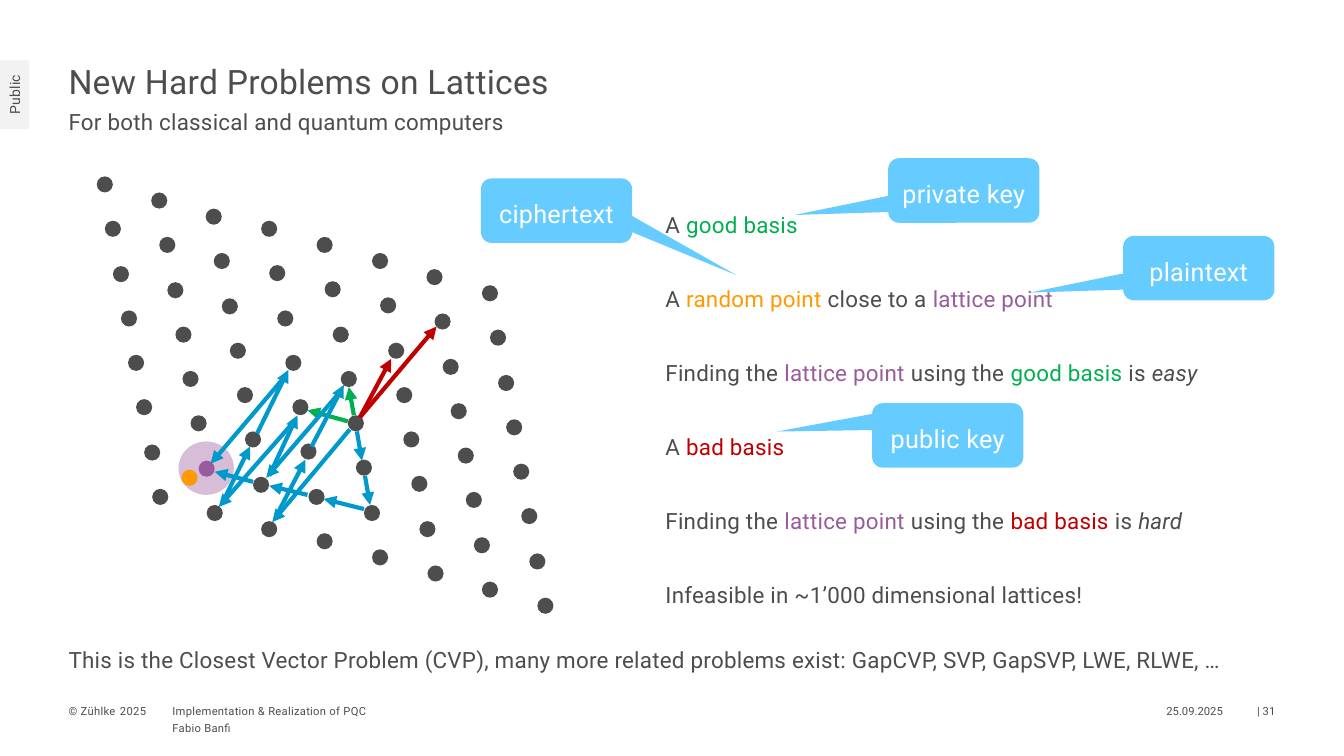
from dataclasses import dataclass

from lxml import etree
from pptx import Presentation
from pptx.dml.color import RGBColor
from pptx.enum.shapes import MSO_CONNECTOR, MSO_SHAPE
from pptx.enum.text import MSO_ANCHOR, MSO_AUTO_SIZE, PP_ALIGN
from pptx.oxml.ns import qn
from pptx.util import Emu, Pt

PX = 9144
OVAL, RECT = MSO_SHAPE.OVAL, MSO_SHAPE.RECTANGLE
CALLOUT = MSO_SHAPE.ROUNDED_RECTANGULAR_CALLOUT
STRAIGHT = MSO_CONNECTOR.STRAIGHT
LEFT, CENTER, RIGHT = PP_ALIGN.LEFT, PP_ALIGN.CENTER, PP_ALIGN.RIGHT
TOP, MIDDLE = MSO_ANCHOR.TOP, MSO_ANCHOR.MIDDLE
NO_AUTOFIT = MSO_AUTO_SIZE.NONE


@dataclass(frozen=True)
class Theme:
    font: str = "Roboto"
    text: str = "4D4D4D"
    white: str = "FFFFFF"
    tag: str = "F2F2F2"
    green: str = "00B050"
    orange: str = "FF9900"
    purple: str = "985B9C"
    halo: str = "D7BDD8"
    red: str = "C00000"
    blue: str = "0099CC"
    callout: str = "66CCFF"
    title_pt: int = 24
    callout_pt: int = 18
    body_pt: int = 16
    tag_pt: int = 10
    footer_pt: int = 8
    arrow_pt: int = 3


T = Theme()


@dataclass(frozen=True)
class Box:
    x: int
    y: int
    w: int
    h: int


@dataclass(frozen=True)
class Run:
    text: str
    color: str = T.text
    italic: bool = False


@dataclass(frozen=True)
class Arrow:
    start: tuple[int, int]
    end: tuple[int, int]
    color: str = T.blue


@dataclass(frozen=True)
class KeyCallout:
    text: str
    x: int
    y: int
    tip: tuple[float, float]


@dataclass(frozen=True)
class Footer:
    text: str
    box: Box
    align: PP_ALIGN = LEFT
    tracking: int = 20


DOT = 16
ROWS = 8
COLUMN_TOPS = ((96, 175), (150, 191), (204, 207), (259, 219),
               (314, 235), (369, 251), (423, 267), (478, 283))
COLUMN_SPAN = (55, 310)
TARGET = (1, 6)

ARROWS = (
    Arrow((351, 412), (346, 384), T.green),
    Arrow((345, 418), (305, 407), T.green),
    Arrow((354, 428), (359, 457)),
    Arrow((362, 472), (367, 501)),
    Arrow((361, 505), (321, 495)),
    Arrow((305, 491), (267, 482)),
    Arrow((251, 478), (213, 468)),
    Arrow((357, 414), (388, 356), T.red),
    Arrow((357, 414), (433, 324), T.red),
    Arrow((347, 426), (270, 518)),
    Arrow((274, 512), (303, 456)),
    Arrow((309, 443), (341, 382)),
    Arrow((338, 388), (264, 474)),
    Arrow((267, 472), (295, 412)),
    Arrow((291, 419), (217, 503)),
    Arrow((221, 498), (248, 443)),
    Arrow((255, 430), (286, 367)),
    Arrow((283, 373), (209, 460)),
)

CALLOUTS = (
    KeyCallout("private key", 881, 157, (-1.12, 0.38)),
    KeyCallout("public key", 865, 400, (-1.13, -0.06)),
    KeyCallout("plaintext", 1114, 234, (-1.12, 0.38)),
    KeyCallout("ciphertext", 477, 177, (1.19, 1.0)),
)

FOOTERS = (
    Footer("© Zühlke", Box(68, 697, 48, 16)),
    Footer("2025", Box(119, 697, 28, 16)),
    Footer("Implementation & Realization of PQC", Box(171, 697, 480, 16)),
    Footer("Fabio Banfi", Box(171, 714, 480, 16)),
    Footer("25.09.2025", Box(1139, 697, 74, 16), RIGHT, 0),
    Footer("| 31", Box(1222, 697, 43, 16), RIGHT, 0),
)

GOOD, BAD = Run("good basis", T.green), Run("bad basis", T.red)
LATTICE_POINT = Run("lattice point", T.purple)


def finding(basis: Run, verdict: str) -> list[Run]:
    return [Run("Finding the "), LATTICE_POINT, Run(" using the "), basis,
            Run(" is "), Run(verdict, italic=True)]


STATEMENTS = [
    [Run("A "), GOOD],
    [Run("A "), Run("random point", T.orange), Run(" close to a "), LATTICE_POINT],
    finding(GOOD, "easy"),
    [Run("A "), BAD],
    finding(BAD, "hard"),
    [Run("Infeasible in ~1’000 dimensional lattices!")],
]


def px(n: int) -> Emu:
    return Emu(n * PX)


def area(b: Box) -> tuple[Emu, ...]:
    return px(b.x), px(b.y), px(b.w), px(b.h)


def write(sp, text: str | list[list[Run]], *, size: int, color: str = T.text,
          align: PP_ALIGN = LEFT, anchor: MSO_ANCHOR = TOP, spacing: float = 1.0,
          before: int = 0, after: int = 0, tracking: int = 20) -> None:
    tf = sp.text_frame
    tf.auto_size, tf.word_wrap, tf.vertical_anchor = NO_AUTOFIT, True, anchor
    tf.margin_left = tf.margin_top = tf.margin_right = tf.margin_bottom = 0
    lines = [[Run(text, color)]] if isinstance(text, str) else text
    for i, line in enumerate(lines):
        p = tf.add_paragraph() if i else tf.paragraphs[0]
        pPr = p._p.get_or_add_pPr()
        pPr.set("marL", "0")
        pPr.set("indent", "0")
        etree.SubElement(pPr, qn("a:buNone"))
        p.alignment, p.line_spacing = align, spacing
        p.space_before, p.space_after = Pt(before if i else 0), Pt(after)
        for run in line:
            r = p.add_run()
            r.text = run.text
            r.font.name, r.font.size, r.font.italic = T.font, Pt(size), run.italic
            r.font.color.rgb = RGBColor.from_string(run.color)
            r._r.get_or_add_rPr().set("spc", str(tracking))


def place(sp, b: Box) -> None:
    sp.left, sp.top, sp.width, sp.height = area(b)


def add_shape(s, kind: MSO_SHAPE, b: Box, fill: str):
    sp = s.shapes.add_shape(kind, *area(b))
    sp.shadow.inherit = False
    sp.fill.solid()
    sp.fill.fore_color.rgb = RGBColor.from_string(fill)
    sp.line.fill.background()
    return sp


def add_dot(s, x: int, y: int, color: str) -> None:
    add_shape(s, OVAL, Box(x, y, DOT, DOT), color)


def add_arrow(s, a: Arrow) -> None:
    c = s.shapes.add_connector(STRAIGHT, *map(px, a.start + a.end))
    c.line.color.rgb = RGBColor.from_string(a.color)
    c.line.width = Pt(T.arrow_pt)
    etree.SubElement(c.line._get_or_add_ln(), qn("a:tailEnd"), type="triangle")
    etree.SubElement(c._element.spPr, qn("a:effectLst"))


def add_callout(s, k: KeyCallout) -> None:
    sp = add_shape(s, CALLOUT, Box(k.x, k.y, 150, 64), T.callout)
    sp.adjustments[0], sp.adjustments[1] = k.tip
    write(sp, k.text, size=T.callout_pt, color=T.white, align=CENTER,
          anchor=MIDDLE, spacing=1.2)


def add_lattice(s) -> None:
    add_shape(s, OVAL, Box(177, 438, 55, 53), T.halo)
    dx, dy = COLUMN_SPAN
    for col, (x, y) in enumerate(COLUMN_TOPS):
        for row in range(ROWS):
            step = row / (ROWS - 1)
            color = T.purple if (col, row) == TARGET else T.text
            add_dot(s, round(x + dx * step), round(y + dy * step), color)
    add_dot(s, 180, 466, T.orange)
    for a in ARROWS:
        add_arrow(s, a)


def main() -> None:
    prs = Presentation()
    prs.slide_width, prs.slide_height = px(1333), px(750)
    s = prs.slides.add_slide(prs.slide_layouts[3])
    title, subtitle, statements = s.placeholders
    place(title, Box(68, 60, 992, 47))
    write(title, "New Hard Problems on Lattices", size=T.title_pt)
    place(subtitle, Box(68, 107, 992, 31))
    write(subtitle, "For both classical and quantum computers", size=T.body_pt)
    place(statements, Box(660, 169, 583, 454))
    write(statements, STATEMENTS, size=T.body_pt, spacing=2.5, before=2, after=3)

    tag = add_shape(s, RECT, Box(0, 60, 29, 68), T.tag)
    write(tag, "Public", size=T.tag_pt, align=CENTER, anchor=MIDDLE)
    tag.text_frame._txBody.bodyPr.set("vert", "vert270")

    add_lattice(s)
    for k in CALLOUTS:
        add_callout(s, k)
    summary = s.shapes.add_textbox(*area(Box(68, 636, 1198, 35)))
    write(summary, "This is the Closest Vector Problem (CVP), many more related "
          "problems exist: GapCVP, SVP, GapSVP, LWE, RLWE, …",
          size=T.body_pt, spacing=1.2, after=3)
    for f in FOOTERS:
        write(s.shapes.add_textbox(*area(f.box)), f.text, size=T.footer_pt,
              align=f.align, anchor=MIDDLE, tracking=f.tracking)
    prs.save("out.pptx")


if __name__ == "__main__":
    main()
